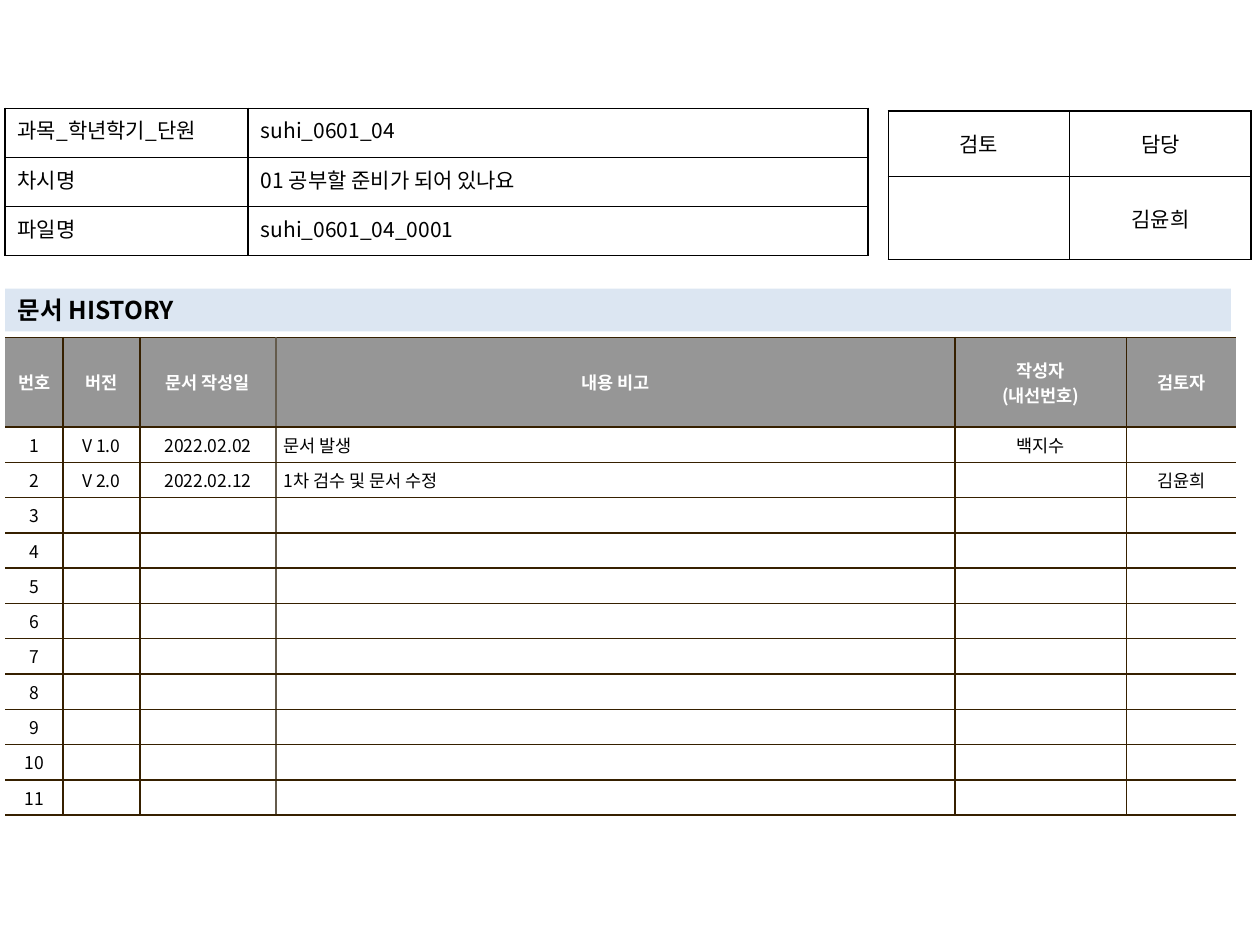
from dataclasses import dataclass

from lxml import etree
from pptx import Presentation
from pptx.dml.color import RGBColor
from pptx.enum.text import MSO_ANCHOR, PP_ALIGN
from pptx.oxml.ns import qn
from pptx.util import Inches, Pt

LEFT, CENTER, JUSTIFY = PP_ALIGN.LEFT, PP_ALIGN.CENTER, PP_ALIGN.JUSTIFY
TOP, MIDDLE = MSO_ANCHOR.TOP, MSO_ANCHOR.MIDDLE
TITLE_ONLY = 5


@dataclass(frozen=True)
class Theme:
    font: str = "Noto Sans CJK KR"
    ink: str = "000000"
    paper: str = "FFFFFF"
    band: str = "DCE6F2"
    header: str = "969696"
    grid: str = "362000"
    soft_grid: str = "645B4C"
    title_size: int = 14
    form_size: int = 12
    history_size: int = 10
    line_width: int = 1


@dataclass
class CellStyle:
    size: int
    color: str
    align: PP_ALIGN = CENTER
    anchor: MSO_ANCHOR = MIDDLE
    bold: bool = False
    fill: str = ""
    margins: tuple = (0.1, 0.05)


class SlideBuilder:
    def __init__(self, prs, theme):
        self.theme = theme
        self.slide = prs.slides.add_slide(prs.slide_layouts[TITLE_ONLY])

    def set_text(self, frame, text, size, color, bold, align):
        frame.text = text
        for paragraph in frame.paragraphs:
            paragraph.alignment = align
            for run in paragraph.runs:
                formats = {"name": self.theme.font, "size": Pt(size), "bold": bold}
                for attribute, value in formats.items():
                    setattr(run.font, attribute, value)
                run.font.color.rgb = RGBColor.from_string(color)
                properties = run._r.get_or_add_rPr()
                etree.SubElement(properties, qn("a:ea"), typeface=self.theme.font)
            if not paragraph.runs:
                # Keeps an empty cell from growing to the default type size.
                end = etree.SubElement(paragraph._p, qn("a:endParaRPr"), sz=str(size * 100))
                for tag in ("a:latin", "a:ea"):
                    etree.SubElement(end, qn(tag), typeface=self.theme.font)

    def title(self, text, left, top, width, height):
        title = self.slide.shapes.title
        box = {"left": left, "top": top, "width": width, "height": height}
        for attribute, value in box.items():
            setattr(title, attribute, Inches(value))
        title.fill.solid()
        title.fill.fore_color.rgb = RGBColor.from_string(self.theme.band)
        title.text_frame.vertical_anchor = MIDDLE
        self.set_text(title.text_frame, text, self.theme.title_size,
                      self.theme.ink, True, LEFT)

    def borders(self, cell, colors):
        """Draw the left, right, top and bottom edges; None hides an edge."""
        properties = cell._tc.get_or_add_tcPr()
        for side, color in zip("LRTB", colors):
            line = etree.SubElement(properties, qn(f"a:ln{side}"),
                                    w=str(Pt(self.theme.line_width)))
            if color:
                fill = etree.SubElement(line, qn("a:solidFill"))
                etree.SubElement(fill, qn("a:srgbClr"), val=color)
            else:
                etree.SubElement(line, qn("a:noFill"))

    def table(self, left, top, widths, heights, rows, style_for, verticals, horizontal):
        """verticals holds one colour per column edge, from left to right."""
        table = self.slide.shapes.add_table(
            len(heights), len(widths), Inches(left), Inches(top),
            Inches(sum(widths)), Inches(sum(heights))).table
        table.first_row = table.horz_banding = False
        for column, width in zip(table.columns, widths):
            column.width = Inches(width)
        for row, height in zip(table.rows, heights):
            row.height = Inches(height)
        for r, texts in enumerate(rows):
            for c, text in enumerate(texts):
                self.cell(table.cell(r, c), text, style_for(r, c),
                          (verticals[c], verticals[c + 1], horizontal, horizontal))

    def cell(self, cell, text, style, edges):
        across, down = (Inches(margin) for margin in style.margins)
        layout = {"margin_left": across, "margin_right": across, "margin_top": down,
                  "margin_bottom": down, "vertical_anchor": style.anchor}
        for attribute, value in layout.items():
            setattr(cell, attribute, value)
        self.borders(cell, edges)
        if style.fill:
            cell.fill.solid()
            cell.fill.fore_color.rgb = RGBColor.from_string(style.fill)
        else:
            cell.fill.background()
        self.set_text(cell.text_frame, text, style.size, style.color,
                      style.bold, style.align)


HISTORY_HEADER = ["번호", "버전", "문서 작성일", "내용 비고", "작성자\n(내선번호)", "검토자"]
REVISIONS = [
    ["V 1.0", "2022.02.02", "문서 발생", "백지수", ""],
    ["V 2.0", "2022.02.12", "1차 검수 및 문서 수정", "", "김윤희"],
]
HISTORY_ROWS = 11
NOTE_COLUMN = 3
FILE_INFO = [
    ["과목_학년학기_단원", "suhi_0601_04"],
    ["차시명", "01 공부할 준비가 되어 있나요"],
    ["파일명", "suhi_0601_04_0001"],
]
APPROVAL = [["검토", "담당"], ["", "김윤희"]]


def main():
    prs = Presentation()
    prs.slide_width, prs.slide_height = Inches(10), Inches(7.5)
    theme = Theme()
    builder = SlideBuilder(prs, theme)

    def history_style(row, column):
        common = {"size": theme.history_size, "margins": (0.06, 0.04)}
        if row == 0:
            return CellStyle(color=theme.paper, bold=True, fill=theme.header, **common)
        align = LEFT if column == NOTE_COLUMN else CENTER
        return CellStyle(color=theme.ink, align=align, fill=theme.paper, **common)

    def approval_style(row, column):
        return CellStyle(theme.form_size, theme.ink)

    def file_style(row, column):
        return CellStyle(theme.form_size, theme.ink, LEFT if column else JUSTIFY, TOP)

    blank_revisions = [[""] * 5] * (HISTORY_ROWS - len(REVISIONS))
    history = [HISTORY_HEADER] + [
        [str(number), *revision]
        for number, revision in enumerate(REVISIONS + blank_revisions, 1)]

    builder.title("문서 HISTORY", 0.04, 2.29, 9.73, 0.34)
    builder.table(
        0.04, 2.68, [0.46, 0.61, 1.08, 5.39, 1.36, 0.87],
        [0.71] + [0.28] * HISTORY_ROWS, history, history_style,
        [None, theme.grid, theme.grid, theme.soft_grid, theme.grid, theme.grid, None],
        theme.grid)
    builder.table(7.05, 0.88, [1.44] * 2, [0.52, 0.66], APPROVAL,
                  approval_style, [theme.ink] * 3, theme.ink)
    builder.table(0.04, 0.86, [1.93, 4.92], [0.39] * 3, FILE_INFO,
                  file_style, [theme.ink] * 3, theme.ink)
    prs.save("out.pptx")


if __name__ == "__main__":
    main()
